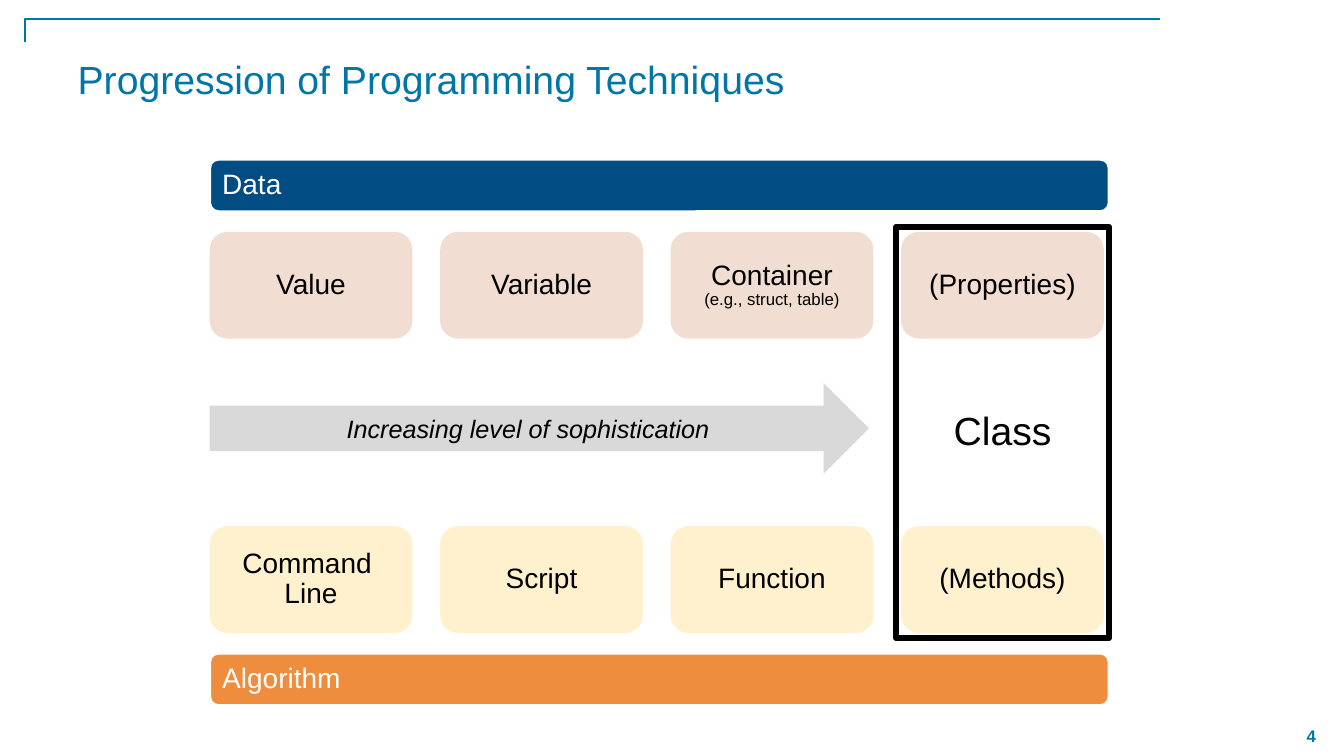
from lxml.etree import SubElement
from pptx import Presentation
from pptx.dml.color import RGBColor
from pptx.enum.shapes import MSO_CONNECTOR, MSO_SHAPE
from pptx.enum.text import MSO_ANCHOR, PP_ALIGN
from pptx.oxml.ns import qn
from pptx.util import Inches, Pt

COLORS = {
    "accent": "0076A8", "data": "024C84", "data_step": "F0DACD",
    "algorithm": "EE8D3D", "algorithm_step": "FFEFC9",
    "arrow": "D9D9D9", "ink": "000000", "paper": "FFFFFF",
}
LEFT, STEP_W, STEP_H, PITCH = 2.08, 2.01, 1.06, 2.286
BAR_W, BAR_H = 8.92, 0.52
BANDS = [
    ("data", "Data", 1.58, 2.3,
     ["Value", "Variable", "Container\n(e.g., struct, table)", "(Properties)"]),
    ("algorithm", "Algorithm", 6.48, 5.22,
     ["Command \nLine", "Script", "Function", "(Methods)"]),
]


def rgb(name):
    return RGBColor.from_string(COLORS[name])


def write(sp, text, sizes=(20,), color="ink", align=PP_ALIGN.CENTER,
          anchor=MSO_ANCHOR.MIDDLE, spacing=0.9, insets=(0, 0, 0, 0), **font):
    tf = sp.text_frame
    frame = {"word_wrap": True, "vertical_anchor": anchor}
    sides = ("left", "top", "right", "bottom")
    frame.update({f"margin_{side}": Inches(v) for side, v in zip(sides, insets)})
    for name, value in frame.items():
        setattr(tf, name, value)
    p = tf.paragraphs[0]
    p.alignment, p.line_spacing = align, spacing
    for i, line in enumerate(text.split("\n")):
        if i:
            p.add_line_break()
        r = p.add_run()
        r.text = line
        r.font.color.rgb = rgb(color)
        style = {"name": "Arial", "size": Pt(sizes[min(i, len(sizes) - 1)]), **font}
        for name, value in style.items():
            setattr(r.font, name, value)


def add_box(s, kind, box, fill=None, line=None, width=2, alpha=None):
    sp = s.shapes.add_shape(kind, *map(Inches, box))
    sp.shadow.inherit = False
    if fill:
        sp.fill.solid()
        sp.fill.fore_color.rgb = rgb(fill)
        if alpha:
            clr = sp.fill._xPr.find(".//" + qn("a:srgbClr"))
            SubElement(clr, qn("a:alpha")).set("val", str(alpha * 1000))
    else:
        sp.fill.background()
    if line:
        sp.line.color.rgb = rgb(line)
        sp.line.width = Pt(width)
    else:
        sp.line.fill.background()
    return sp


def add_label(s, box, text, **style):
    write(s.shapes.add_textbox(*map(Inches, box)), text, **style)


def add_frame(s, x, y, w, h):
    corner = s.shapes.add_connector(
        MSO_CONNECTOR.ELBOW, *map(Inches, (x + w, y, x, y + h)))
    corner.line.color.rgb = rgb("accent")
    corner.line.width = Pt(1)
    spPr = corner._element.spPr
    SubElement(spPr, qn("a:effectLst"))
    guides = spPr.find(qn("a:prstGeom")).get_or_add_avLst()
    guide = SubElement(guides, qn("a:gd"))
    guide.set("name", "adj1")
    guide.set("fmla", "val 100000")
    add_label(s, (12.67, 7.09, 0.67, 0.42), "4", sizes=(12,), color="accent",
              spacing=1, bold=True)


def add_title(s, box):
    title = s.shapes.title
    for name, value in zip(("left", "top", "width", "height"), box):
        setattr(title, name, Inches(value))
    write(title, "Progression of Programming Techniques", sizes=(28,),
          color="accent", align=PP_ALIGN.LEFT, anchor=MSO_ANCHOR.TOP,
          spacing=1, insets=(0.1, 0.05, 0.1, 0.05))


def add_band(s, name, heading, x, bar_y, step_y, steps):
    bar = add_box(s, MSO_SHAPE.ROUNDED_RECTANGLE, (x, bar_y, BAR_W, BAR_H),
                  fill=name, line="paper")
    write(bar, heading, color="paper", align=PP_ALIGN.LEFT, insets=(0.1, 0, 0, 0))
    for i, step in enumerate(steps):
        box = (x + i * PITCH, step_y, STEP_W, STEP_H)
        sp = add_box(s, MSO_SHAPE.ROUNDED_RECTANGLE, box,
                     fill=f"{name}_step", alpha=90)
        write(sp, step, sizes=(20, 12) if "(e.g." in step else (20,))


def add_middle(s, x, y, w, h):
    class_x = x + 3 * PITCH
    add_label(s, (class_x, y, STEP_W, h), "Class", sizes=(28,))
    arrow = add_box(s, MSO_SHAPE.RIGHT_ARROW, (x, y + 0.44, w, 0.9), fill="arrow")
    write(arrow, "Increasing level of sophistication", sizes=(18,), spacing=1,
          insets=(0.1, 0.05, 0.1, 0.05), italic=True)
    add_box(s, MSO_SHAPE.RECTANGLE,
            (class_x - 0.05, y - STEP_H - 0.05, 2.11, h + 2 * STEP_H + 0.1),
            line="ink", width=4.5)


def main():
    prs = Presentation()
    prs.slide_width, prs.slide_height = Inches(13.33), Inches(7.5)
    s = prs.slides.add_slide(prs.slide_layouts[5])
    add_frame(s, 0.25, 0.19, 11.26, 0.23)
    add_title(s, (0.67, 0.5, 11.78, 1.08))
    for name, heading, bar_y, step_y, steps in BANDS:
        add_band(s, name, heading, LEFT, bar_y, step_y, steps)
    add_middle(s, LEFT, 3.36, 6.54, 1.86)
    prs.save("out.pptx")


if __name__ == "__main__":
    main()
